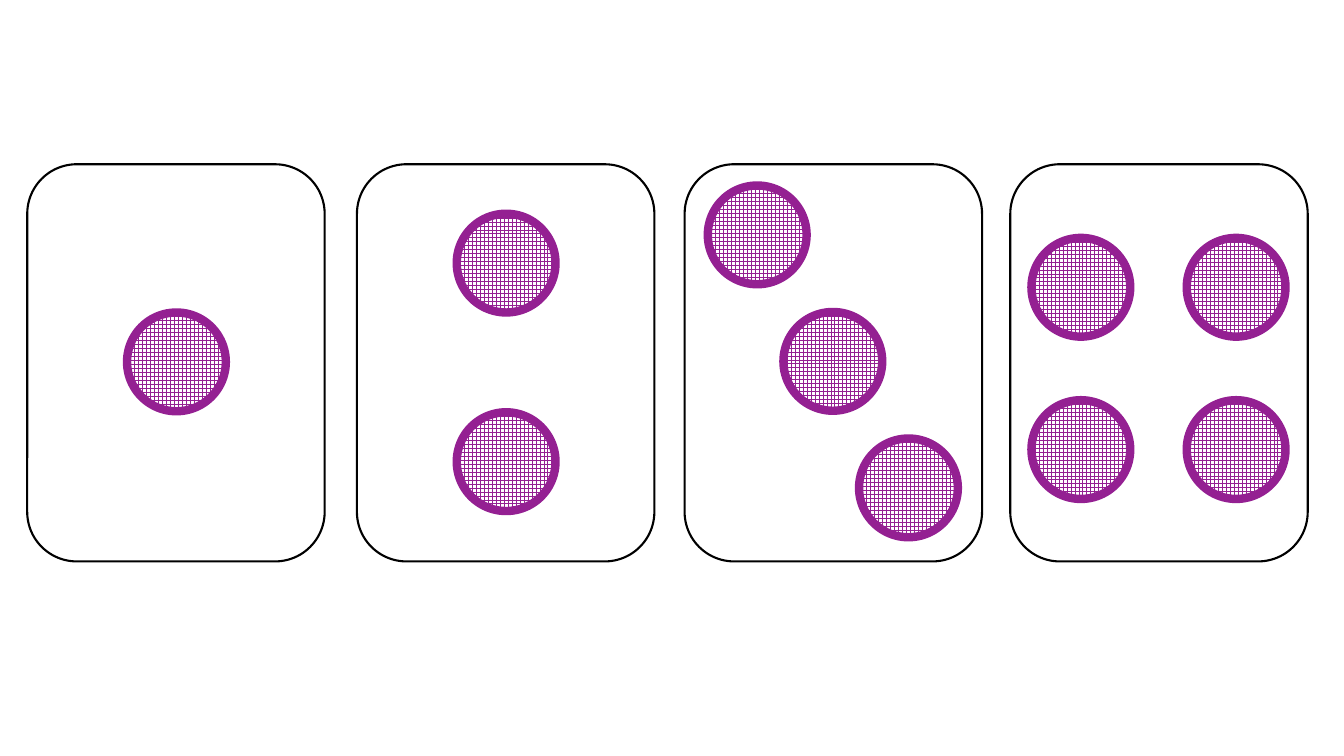
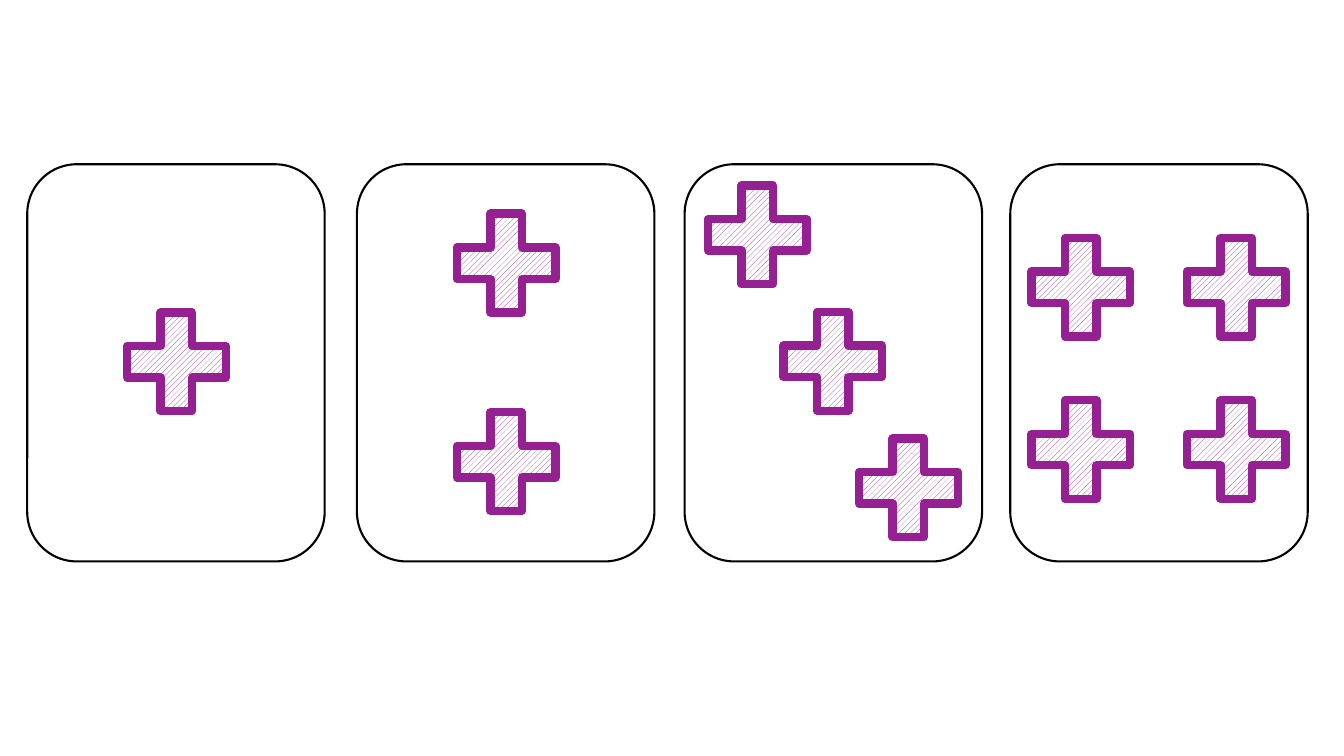
from itertools import product

from pptx import Presentation
from pptx.dml.color import RGBColor
from pptx.enum import dml, shapes
from pptx.util import Inches, Pt

INK, PAPER, PURPLE = "000000", "FFFFFF", "942092"
TOP, WIDTH, HEIGHT = 1.63, 2.95, 3.94
MARK = 0.98

# Left edge of each card, and its marks as offsets from the card's top left corner
CARDS = [
    (0.27, [(0.99, 1.47)]),
    (3.54, [(0.99, 0.49), (0.99, 2.46)]),
    (6.79, [(0.23 + 0.75 * i, 0.21 + 1.255 * i) for i in range(3)]),
    (10.02, list(product((0.21, 1.75), (0.73, 2.34)))),
]

# Mark shape, its adjustments and its pattern, one entry a slide
SUITS = [
    (shapes.MSO_SHAPE.OVAL, [], dml.MSO_PATTERN.LARGE_GRID),
    (shapes.MSO_SHAPE.CROSS, [0.341], dml.MSO_PATTERN.WIDE_UPWARD_DIAGONAL),
]


def color(code):
    return RGBColor.from_string(code)


def add_shape(slide, kind, box, line, weight):
    shape = slide.shapes.add_shape(kind, *map(Inches, box))
    shape.shadow.inherit = False
    shape.line.color.rgb = color(line)
    shape.line.width = Pt(weight)
    return shape


def add_card(slide, left):
    box = left, TOP, WIDTH, HEIGHT
    card = add_shape(slide, shapes.MSO_SHAPE.ROUNDED_RECTANGLE, box, INK, 1.5)
    card.fill.solid()
    card.fill.fore_color.rgb = color(PAPER)


def add_mark(slide, left, top, suit):
    kind, adjust, pattern = suit
    mark = add_shape(slide, kind, (left, top, MARK, MARK), PURPLE, 6)
    for i, value in enumerate(adjust):
        mark.adjustments[i] = value
    mark.fill.patterned()
    mark.fill.pattern = pattern
    mark.fill.fore_color.rgb = color(PURPLE)
    mark.fill.back_color.rgb = color(PAPER)


def main():
    deck = Presentation()
    deck.slide_width, deck.slide_height = Inches(13.33), Inches(7.5)
    for suit in SUITS:
        slide = deck.slides.add_slide(deck.slide_layouts[6])
        for left, marks in CARDS:
            add_card(slide, left)
            for dx, dy in marks:
                add_mark(slide, left + dx, TOP + dy, suit)
    deck.save("out.pptx")


if __name__ == "__main__":
    main()
